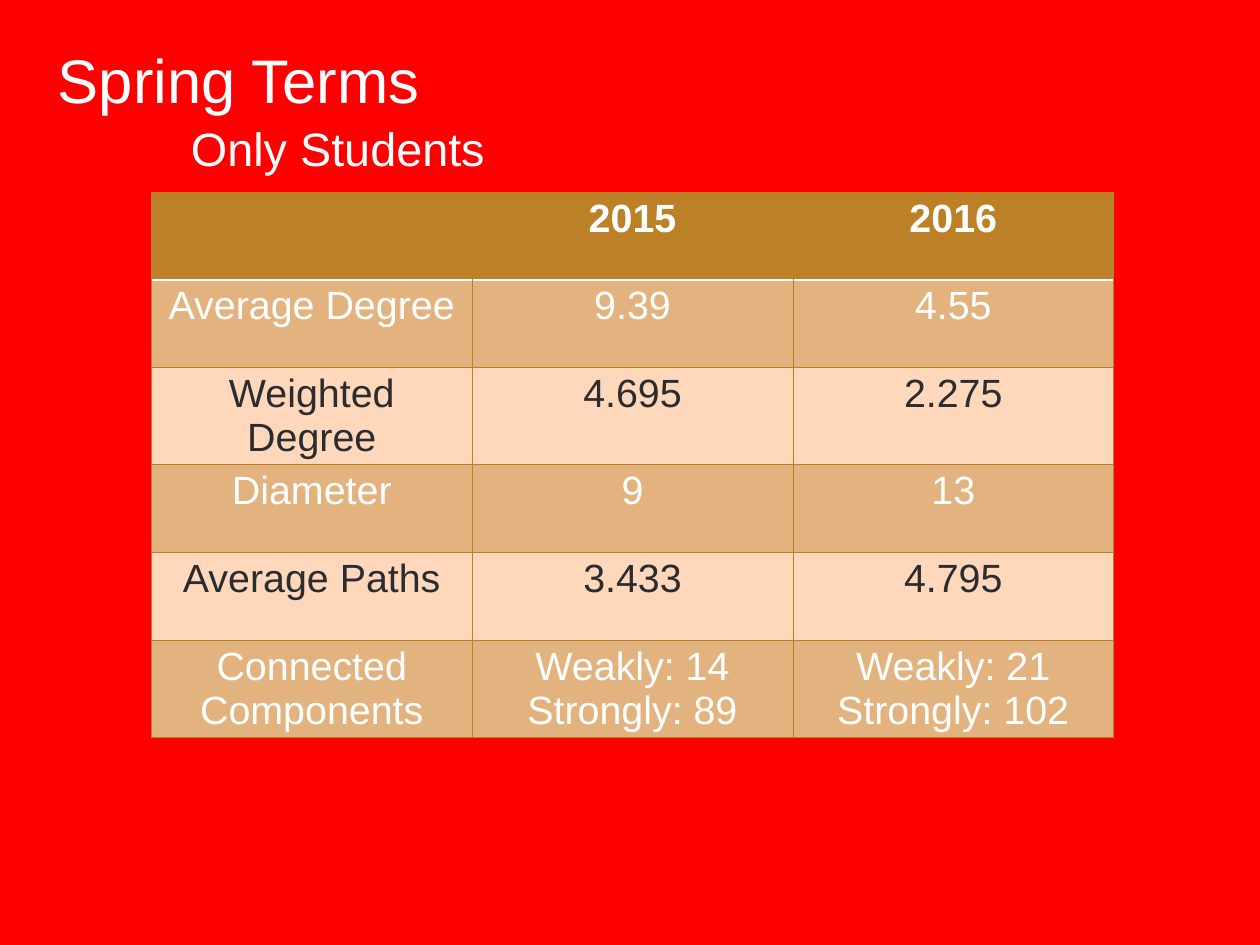
import pptx
import pptx.util
import pptx.dml.color
import pptx.enum.text
import pptx.oxml.ns
import lxml.etree

THEME = {
    "font": "Arial",
    "background": "FF0000",
    "header": "BC8027",
    "bands": ("E3B37F", "FFD8BC"),
    "border": "BB7E22",
    "white": "FFFFFF",
    "dark": "2A2C2F",
    "title_size": 50,
    "subtitle_size": 38,
    "table_size": 32,
}
ROWS = [
    ("", "2015", "2016"),
    ("Average Degree", "9.39", "4.55"),
    ("Weighted Degree", "4.695", "2.275"),
    ("Diameter", "9", "13"),
    ("Average Paths", "3.433", "4.795"),
    ("Connected Components", "Weakly: 14\nStrongly: 89", "Weakly: 21\nStrongly: 102"),
]
COLUMN_WIDTH = pptx.util.Inches(3.62)
ROW_HEIGHT = pptx.util.Inches(0.99)


def write_text(text_frame, text, size, color, bold=False):
    for index, line in enumerate(text.split("\n")):
        paragraph = text_frame.add_paragraph() if index else text_frame.paragraphs[0]
        paragraph.alignment = pptx.enum.text.PP_ALIGN.CENTER
        if line:
            run = paragraph.add_run()
            run.text = line
            run.font.name = THEME["font"]
            run.font.size = pptx.util.Pt(size)
            run.font.bold = bold
            run.font.color.rgb = pptx.dml.color.RGBColor.from_string(color)


def add_border(cell, position, side, color, width):
    qn = pptx.oxml.ns.qn
    line = lxml.etree.Element(qn(f"a:ln{side}"), w=str(pptx.util.Pt(width)))
    fill = lxml.etree.SubElement(line, qn("a:solidFill"))
    lxml.etree.SubElement(fill, qn("a:srgbClr"), val=color)
    cell._tc.get_or_add_tcPr().insert(position, line)


presentation = pptx.Presentation()
presentation.slide_width = pptx.util.Inches(14.22)
presentation.slide_height = pptx.util.Inches(10.67)
slide = presentation.slides.add_slide(presentation.slide_layouts[5])
slide.background.fill.solid()
slide.background.fill.fore_color.rgb = pptx.dml.color.RGBColor.from_string(THEME["background"])

title = slide.shapes.title
title.left, title.top = pptx.util.Inches(-0.11), pptx.util.Inches(-0.27)
title.width, title.height = pptx.util.Inches(5.8), pptx.util.Inches(2.32)
subtitle = slide.shapes.add_textbox(
    pptx.util.Inches(1.95), pptx.util.Inches(1.29), pptx.util.Inches(3.73), pptx.util.Inches(0.75)
)
for shape, text, size, inset in (
    (title, "Spring Terms ", THEME["title_size"], 0),
    (subtitle, "Only Students", THEME["subtitle_size"], 0.06),
):
    frame = shape.text_frame
    frame.word_wrap = True
    frame.auto_size = pptx.enum.text.MSO_AUTO_SIZE.NONE
    frame.vertical_anchor = pptx.enum.text.MSO_ANCHOR.MIDDLE
    frame.margin_left = frame.margin_right = pptx.util.Inches(inset)
    frame.margin_top = frame.margin_bottom = pptx.util.Inches(inset)
    write_text(frame, text, size, THEME["white"])

table = slide.shapes.add_table(
    len(ROWS), len(ROWS[0]), pptx.util.Inches(1.71), pptx.util.Inches(2.17),
    COLUMN_WIDTH * len(ROWS[0]), ROW_HEIGHT * len(ROWS),
).table
for column in table.columns:
    column.width = COLUMN_WIDTH
for row_index, values in enumerate(ROWS):
    table.rows[row_index].height = ROW_HEIGHT
    is_header = row_index == 0
    is_light = not is_header and row_index % 2 == 0
    fill_color = THEME["header"] if is_header else THEME["bands"][is_light]
    text_color = THEME["dark"] if is_light else THEME["white"]
    for column_index, value in enumerate(values):
        cell = table.cell(row_index, column_index)
        cell.fill.solid()
        cell.fill.fore_color.rgb = pptx.dml.color.RGBColor.from_string(fill_color)
        write_text(cell.text_frame, value, THEME["table_size"], text_color, is_header)
        side_color = THEME["header"] if is_header else THEME["border"]
        plain = (THEME["border"], 0.75)
        divider = (THEME["white"], 2)
        borders = {
            "L": (side_color, 0.75),
            "R": (side_color, 0.75),
            "T": divider if row_index == 1 else plain,
            "B": divider if is_header else plain,
        }
        for position, (side, (color, width)) in enumerate(borders.items()):
            add_border(cell, position, side, color, width)

presentation.save("out.pptx")
